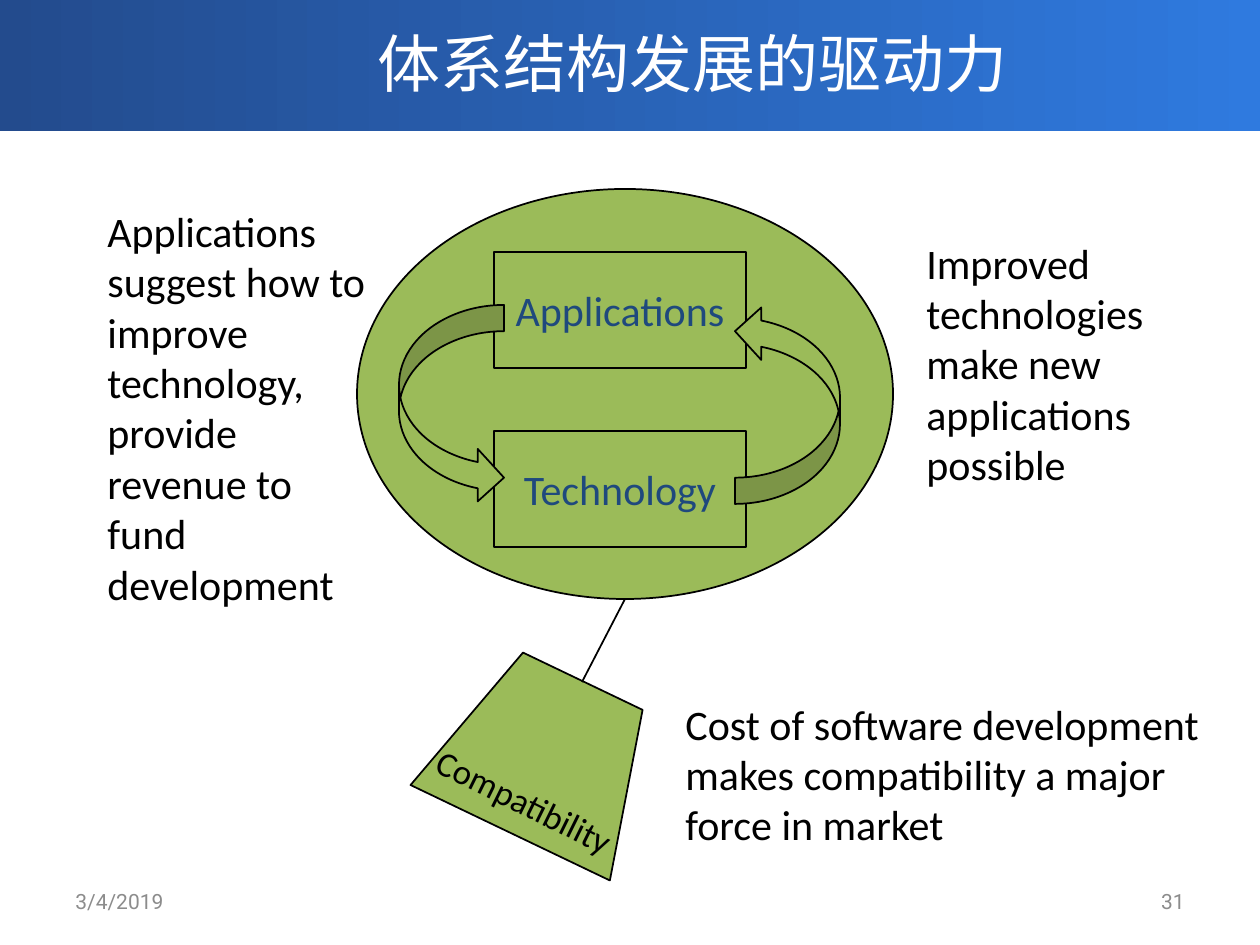
from dataclasses import dataclass

from lxml.etree import SubElement
from pptx import Presentation
from pptx.dml.color import RGBColor
from pptx.enum.shapes import MSO_CONNECTOR, MSO_SHAPE
from pptx.enum.text import MSO_ANCHOR, MSO_AUTO_SIZE, PP_ALIGN
from pptx.oxml.ns import qn
from pptx.util import Emu, Pt


@dataclass(frozen=True)
class Theme:
    black: str = "000000"
    white: str = "FFFFFF"
    green: str = "9BBB59"
    navy: str = "1F497D"
    gray: str = "8C8C8C"
    deep: str = "234B8D"
    bright: str = "2F7ADF"
    body: str = "Calibri"
    han: str = "Noto Sans CJK SC"
    foot: str = "Roboto"
    title: int = 36
    large: int = 24
    medium: int = 20
    small: int = 12
    line: int = 1


THEME = Theme()
SCALE = 914400 / 126


def px(value):
    return Emu(round(value * SCALE))


def rgb(code):
    return RGBColor.from_string(code)


def write(shape, text, size, color, font=THEME.body, align=PP_ALIGN.LEFT, **frame):
    """Put one paragraph in a shape; extra values set its text frame."""
    for name, value in frame.items():
        setattr(shape.text_frame, name, value)
    para = shape.text_frame.paragraphs[0]
    para.alignment = align
    run = para.add_run()
    run.text = text
    for name, value in {"size": Pt(size), "name": font}.items():
        setattr(run.font, name, value)
    run.font.color.rgb = rgb(color)
    SubElement(run._r.get_or_add_rPr(), qn("a:ea")).set("typeface", font)


def add_text(slide, box, text, size, color, turn=0, word_wrap=True, **style):
    shape = slide.shapes.add_textbox(*map(px, box))
    shape.rotation = turn
    write(shape, text, size, color, word_wrap=word_wrap, **style)


def add_note(slide, box, text):
    add_text(slide, box, text, THEME.large, THEME.black,
             auto_size=MSO_AUTO_SIZE.SHAPE_TO_FIT_TEXT)


def add_band(slide, box):
    band = slide.shapes.add_shape(MSO_SHAPE.RECTANGLE, *map(px, box))
    band.shadow.inherit = False
    band.line.fill.background()
    band.fill.gradient()
    band.fill.gradient_angle = 0
    for stop, color, place in zip(band.fill.gradient_stops,
                                  (THEME.deep, THEME.bright), (0, 1)):
        stop.color.rgb = rgb(color)
        stop.position = place


def add_green(slide, kind, box, turn=0, flips=()):
    shape = slide.shapes.add_shape(kind, *map(px, box))
    shape.shadow.inherit = False
    shape.fill.solid()
    shape.fill.fore_color.rgb = rgb(THEME.green)
    shape.line.color.rgb = rgb(THEME.black)
    shape.line.width = Pt(THEME.line)
    shape.rotation = turn
    for flip in flips:
        shape._element.spPr.xfrm.set(flip, "1")
    return shape


def add_label(slide, box, text):
    shape = add_green(slide, MSO_SHAPE.RECTANGLE, box)
    write(shape, text, THEME.large, THEME.navy, align=PP_ALIGN.CENTER,
          vertical_anchor=MSO_ANCHOR.MIDDLE)


def add_link(slide, *ends):
    link = slide.shapes.add_connector(MSO_CONNECTOR.STRAIGHT, *map(px, ends))
    link.line.color.rgb = rgb(THEME.black)
    link.line.width = Pt(THEME.line)
    SubElement(link._element.spPr, qn("a:effectLst"))


def main():
    deck = Presentation()
    deck.slide_width, deck.slide_height = px(1260), px(945)
    slide = deck.slides.add_slide(deck.slide_layouts[6])

    add_band(slide, (0, -4, 1260, 135))
    add_text(slide, (126, 0, 1134, 125), "体系结构发展的驱动力", THEME.title,
             THEME.white, font=THEME.han, align=PP_ALIGN.CENTER,
             vertical_anchor=MSO_ANCHOR.MIDDLE)

    add_green(slide, MSO_SHAPE.OVAL, (357, 189, 536, 410))
    add_green(slide, MSO_SHAPE.FLOWCHART_MANUAL_OPERATION,
              (436, 673, 221, 168), 25.6, ("flipV",))
    add_link(slide, 582, 682, 625, 599)
    add_text(slide, (417, 774, 217, 55), "Compatibility", THEME.medium,
             THEME.black, turn=26.3, word_wrap=False,
             auto_size=MSO_AUTO_SIZE.SHAPE_TO_FIT_TEXT)

    for top, text in ((252, "Applications"), (431, "Technology")):
        add_label(slide, (494, top, 252, 116), text)
    for left, flips in ((399, ()), (735, ("flipH", "flipV"))):
        add_green(slide, MSO_SHAPE.CURVED_RIGHT_ARROW,
                  (left, 305, 105, 199), flips=flips)

    add_note(slide, (95, 199, 294, 420), "Applications suggest how to improve "
             "technology, provide revenue to fund development")
    add_note(slide, (914, 231, 294, 267),
             "Improved technologies make new applications possible")
    add_note(slide, (673, 692, 562, 165), "Cost of software development makes "
             "compatibility a major force in market")

    for left, text, align in ((63, "3/4/2019", PP_ALIGN.LEFT),
                              (903, "31", PP_ALIGN.RIGHT)):
        add_text(slide, (left, 876, 294, 50), text, THEME.small, THEME.gray,
                 font=THEME.foot, align=align,
                 vertical_anchor=MSO_ANCHOR.MIDDLE)

    deck.save("out.pptx")


if __name__ == "__main__":
    main()
